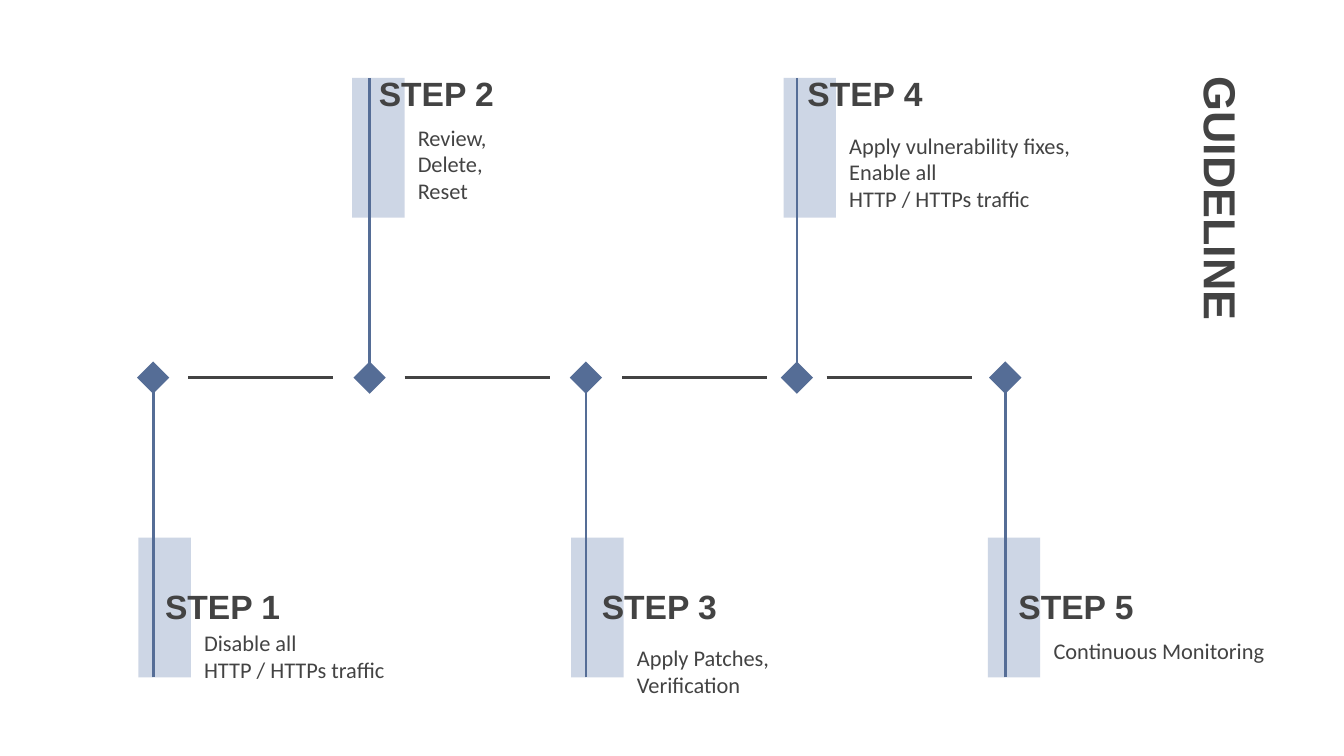
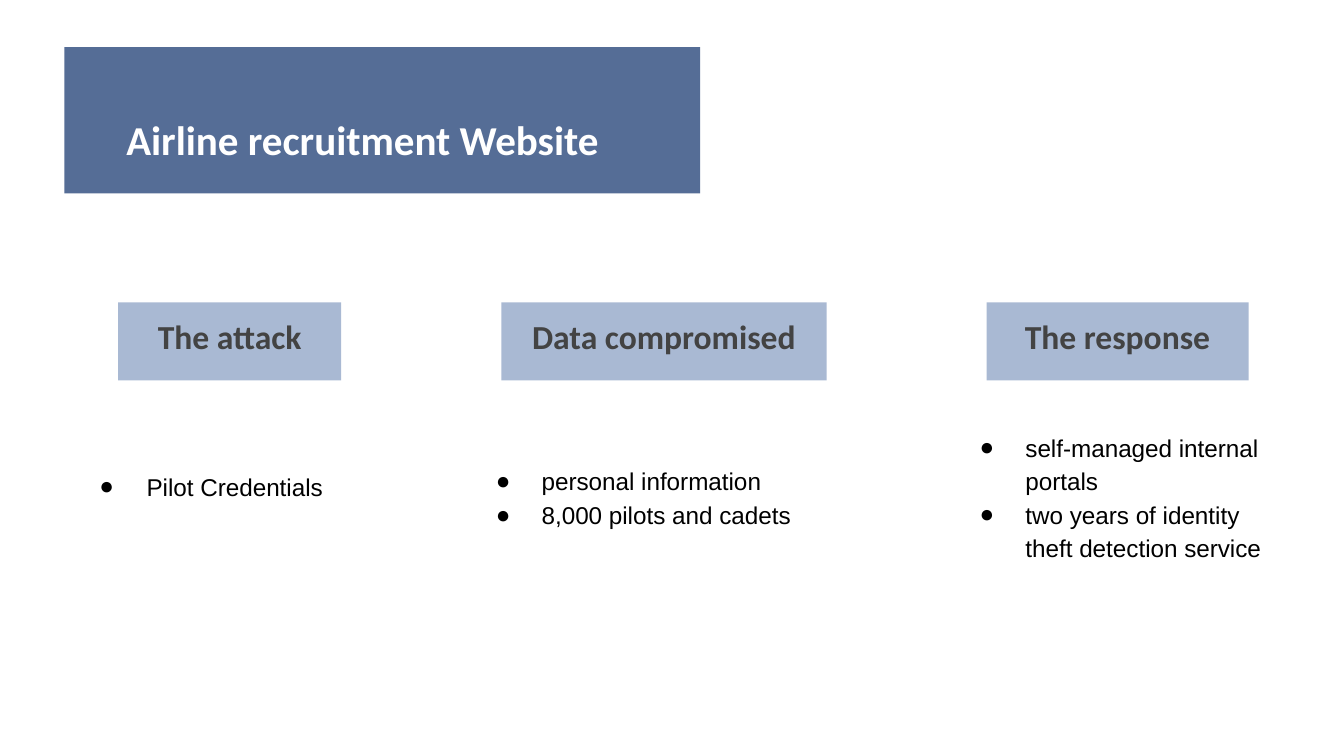
import pptx
import pptx.util
import pptx.dml.color
import pptx.enum.shapes
import pptx.enum.text
import pptx.oxml
import pptx.oxml.ns
import lxml.etree

Inches = pptx.util.Inches
Pt = pptx.util.Pt
SHAPE = pptx.enum.shapes.MSO_SHAPE
ALIGN = pptx.enum.text.PP_ALIGN

NAVY = pptx.dml.color.RGBColor(0x55, 0x6D, 0x96)
PALE = pptx.dml.color.RGBColor(0xA9, 0xB9, 0xD3)
GREY = pptx.dml.color.RGBColor(0x43, 0x43, 0x43)
WHITE = pptx.dml.color.RGBColor(0xFF, 0xFF, 0xFF)
BLACK = pptx.dml.color.RGBColor(0x00, 0x00, 0x00)

AXIS = 2.81
GEM = 0.24
BAR = 0.39

STEPS = [
    ("STEP 1", ["Disable all", "HTTP / HTTPs traffic"], 1.03, 1.14, 1.13, 4.58),
    ("STEP 2", ["Review,", "Delete,", "Reset"], 2.62, 2.75, 2.72, 0.82),
    ("STEP 3", ["Apply Patches,", "Verification"], 4.25, 4.36, 4.38, 4.69),
    ("STEP 4", ["Apply vulnerability fixes,", "Enable all", "HTTP / HTTPs traffic"],
     5.83, 5.93, 5.91, 0.88),
    ("STEP 5", ["Continuous Monitoring"], 7.35, 7.48, 7.48, 4.64),
]
LINKS = [1.4, 3.01, 4.63, 6.15]

TOPICS = [
    ("The attack", (0.88, 2.25, 1.66, 0.58),
     ["Pilot Credentials"], (0.49, 3.38, 2.42, 0.58), 0.35),
    ("Data compromised", (3.73, 2.25, 2.42, 0.58),
     ["personal information", "8,000 pilots and cadets"], (3.43, 3.34, 3.01, 0.67), 0.34),
    ("The response", (7.34, 2.25, 1.95, 0.58),
     ["self-managed internal portals", "two years of identity theft detection service"],
     (7.03, 3.09, 2.58, 1.18), 0.34),
]


def place(shape, box):
    """Move a shape to a box given in inches."""
    shape.left, shape.top, shape.width, shape.height = map(Inches, box)


def write(shape, lines, size, font, color, bold=False, align=ALIGN.LEFT):
    """Set the lines of a shape in one style."""
    frame = shape.text_frame
    frame.text = "\n".join(lines)
    frame.word_wrap = True
    frame.auto_size = pptx.enum.text.MSO_AUTO_SIZE.NONE
    frame.vertical_anchor = pptx.enum.text.MSO_ANCHOR.TOP
    frame.margin_left = frame.margin_right = Inches(0.1)
    frame.margin_top = frame.margin_bottom = Inches(0.1)
    for line in frame.paragraphs:
        line.alignment = align
        line.space_before = Pt(0)
        for run in line.runs:
            run.font.size = Pt(size)
            run.font.name = font
            run.font.bold = bold
            run.font.color.rgb = color


def label(slide, box, lines, size, font, color, bold=False, align=ALIGN.LEFT):
    """Add a text box."""
    write(slide.shapes.add_textbox(*map(Inches, box)), lines, size, font, color, bold, align)


def block(slide, kind, box, color):
    """Add a flat filled shape without outline."""
    shape = slide.shapes.add_shape(kind, *map(Inches, box))
    shape.shadow.inherit = False
    shape.fill.solid()
    shape.fill.fore_color.rgb = color
    shape.line.fill.background()
    return shape


def fade(shape, share):
    """Make the fill of a shape partly clear."""
    tone = shape.element.spPr.find(".//" + pptx.oxml.ns.qn("a:srgbClr"))
    lxml.etree.SubElement(tone, pptx.oxml.ns.qn("a:alpha"), val=str(share * 1000))


def rule(slide, start, end, color):
    """Draw a straight line between two points."""
    line = slide.shapes.add_connector(
        pptx.enum.shapes.MSO_CONNECTOR.STRAIGHT, *map(Inches, start + end))
    line.line.color.rgb = color
    line.line.width = Pt(1.5)
    lxml.etree.SubElement(line.element.spPr, pptx.oxml.ns.qn("a:effectLst"))


def dot(line, indent):
    """Give a paragraph a round black bullet with a hanging indent."""
    props = line._p.get_or_add_pPr()
    props.set("marL", str(Inches(0.5)))
    props.set("indent", str(-Inches(indent)))
    tint = lxml.etree.SubElement(props, pptx.oxml.ns.qn("a:buClr"))
    lxml.etree.SubElement(tint, pptx.oxml.ns.qn("a:srgbClr"), val=str(BLACK))
    lxml.etree.SubElement(props, pptx.oxml.ns.qn("a:buFont"), typeface="Arial")
    lxml.etree.SubElement(props, pptx.oxml.ns.qn("a:buChar"), char="●")


def step(slide, box, name, notes, stem, head, base):
    """Draw one step with its bar, stem, heading, notes and diamond."""
    left, top, width, height = box
    above = top < AXIS
    fade(block(slide, SHAPE.RECTANGLE, box, PALE), 58)
    if above:
        rule(slide, (stem, AXIS + 0.07), (stem, top), NAVY)
    else:
        rule(slide, (stem, top + height), (stem, AXIS + 0.01), NAVY)
    label(slide, (left + width, base, 2.02, 0.72), notes, 12, "Calibri", GREY)
    title = (head, top - 0.14 if above else top + 0.26, 1.24, 0.48)
    label(slide, title, [name], 18, "Arial", GREY, True)
    block(slide, SHAPE.DIAMOND, (stem - GEM / 2, AXIS - GEM / 2, GEM, GEM), NAVY)


def guide(deck):
    """Build the timeline slide."""
    slide = deck.slides.add_slide(deck.slide_layouts[5])
    title = slide.shapes.title
    place(title, (7.22, 2.11, 3.81, 0.53))
    title.rotation = 90
    write(title, ["GUIDELINE"], 24, "Arial", GREY, True)
    for num, (name, notes, left, stem, head, base) in enumerate(STEPS):
        top = 0.58 if num % 2 else 4
        step(slide, (left, top, BAR, 1.04), name, notes, stem, head, base)
    for left in LINKS:
        rule(slide, (left, AXIS), (left + 1.08, AXIS), GREY)


def banner(slide, box, text):
    """Set the slide title on a dark band."""
    left, top, width, height = box
    band = block(slide, SHAPE.RECTANGLE, box, NAVY)
    title = slide.shapes.title
    title.element.addprevious(band.element)
    place(title, (left + 0.36, top + 0.22, width - 0.45, height - 0.42))
    write(title, [text], 22, "Calibri", WHITE, True)
    line = title.text_frame.paragraphs[0]
    line.line_spacing = 1.5
    line.space_after = Pt(2)


def topic(slide, box, name, body, items, area, indent):
    """Draw one topic heading and its bullet list."""
    block(slide, SHAPE.RECTANGLE, box, PALE)
    label(slide, box, [name], 18, "Calibri", GREY, True, ALIGN.CENTER)
    place(body, area)
    write(body, items, 13, "Arial", BLACK)
    for line in body.text_frame.paragraphs:
        line.line_spacing = 1.15
        dot(line, indent)


def case(deck):
    """Build the slide on the attack, the data and the response."""
    slide = deck.slides.add_slide(deck.slide_layouts[4])
    banner(slide, (0.48, 0.35, 4.73, 1.09), "Airline recruitment Website")
    bodies = [item for item in slide.placeholders if item.placeholder_format.idx > 0]
    for body, (name, box, items, area, indent) in zip(bodies, TOPICS):
        topic(slide, box, name, body, items, area, indent)
    for spare in bodies[len(TOPICS):]:
        spare.element.getparent().remove(spare.element)


def main():
    """Build and save the deck."""
    deck = pptx.Presentation()
    deck.slide_width = Inches(10)
    deck.slide_height = Inches(10 * 9 / 16)
    guide(deck)
    case(deck)
    deck.save("out.pptx")


if __name__ == "__main__":
    main()
